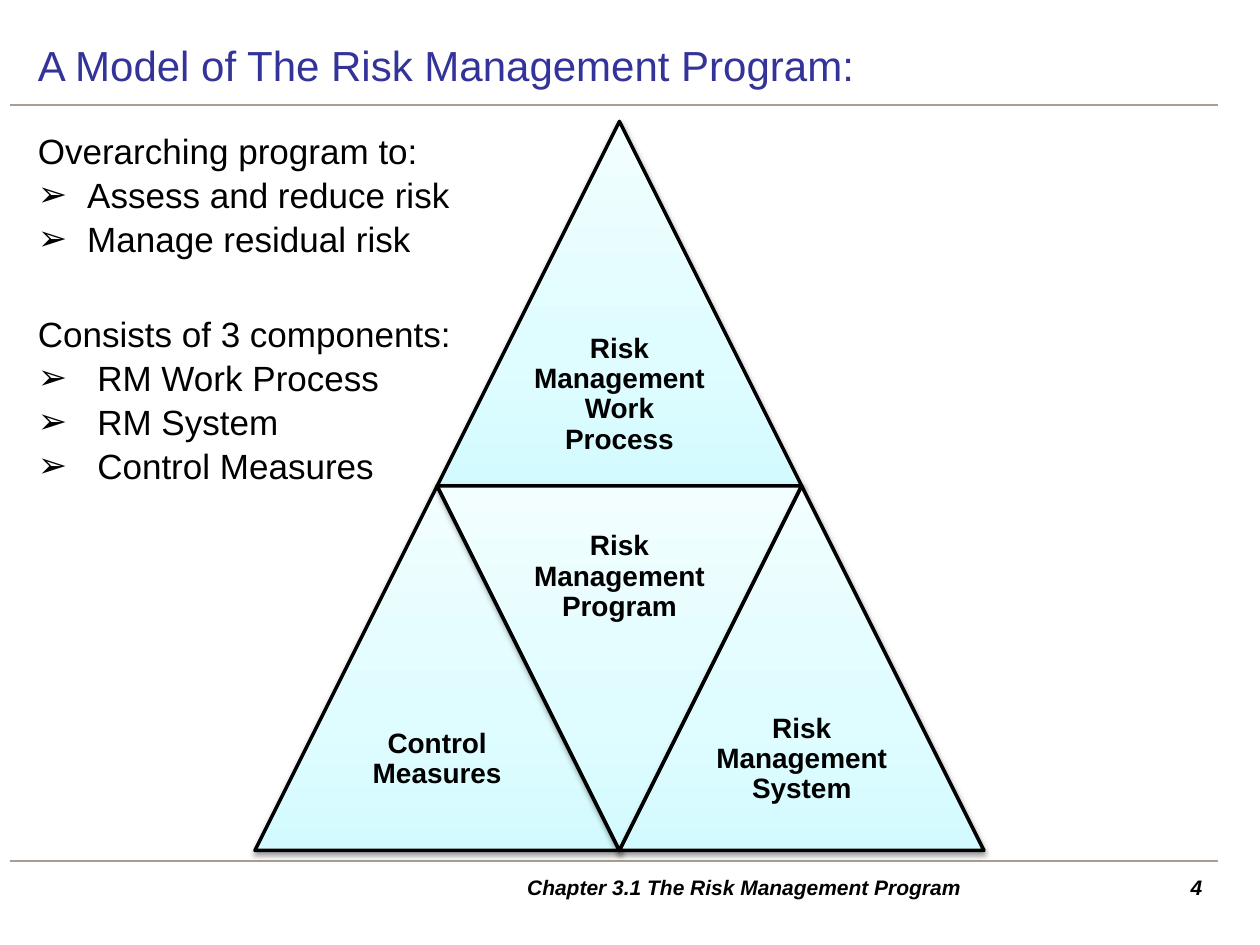
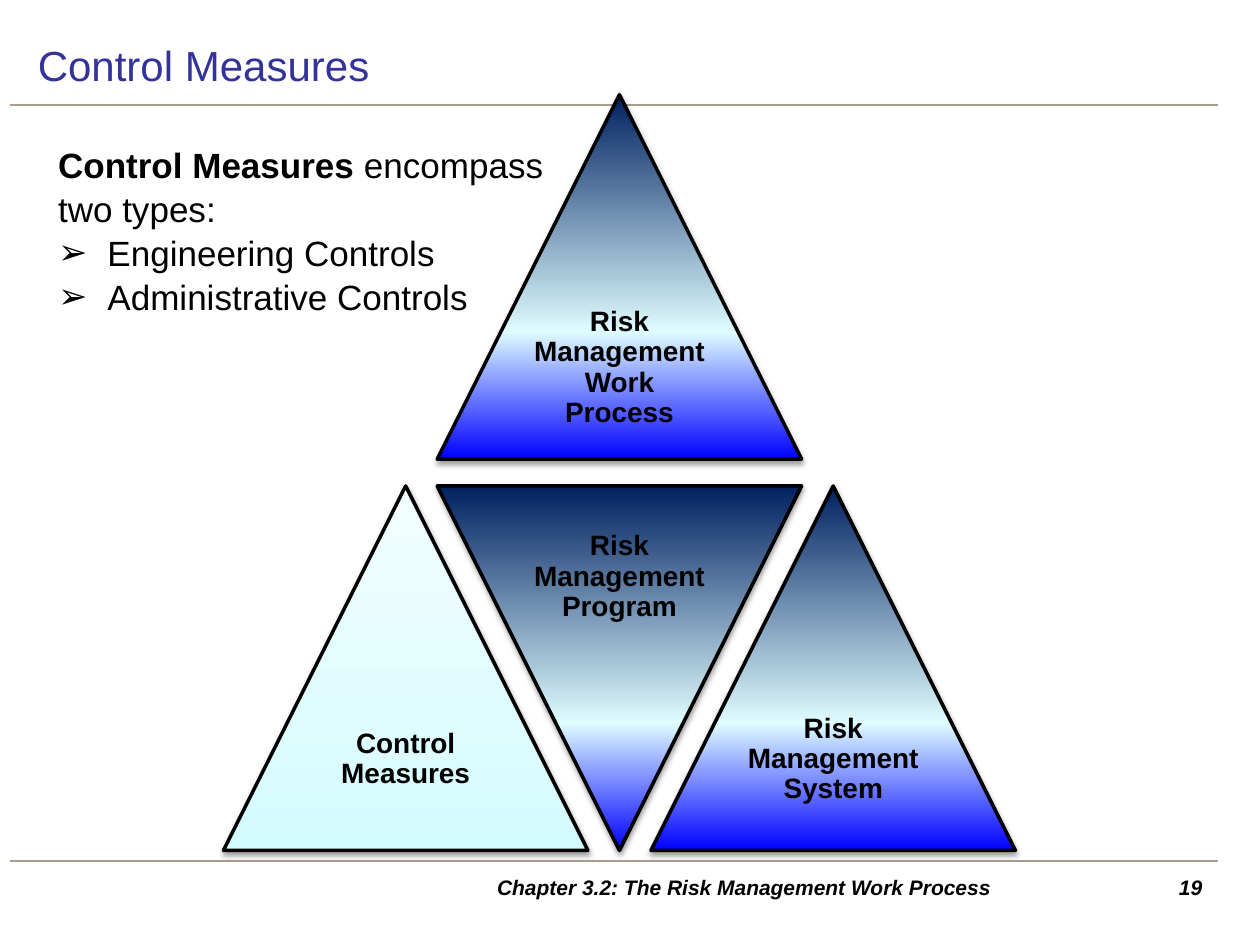
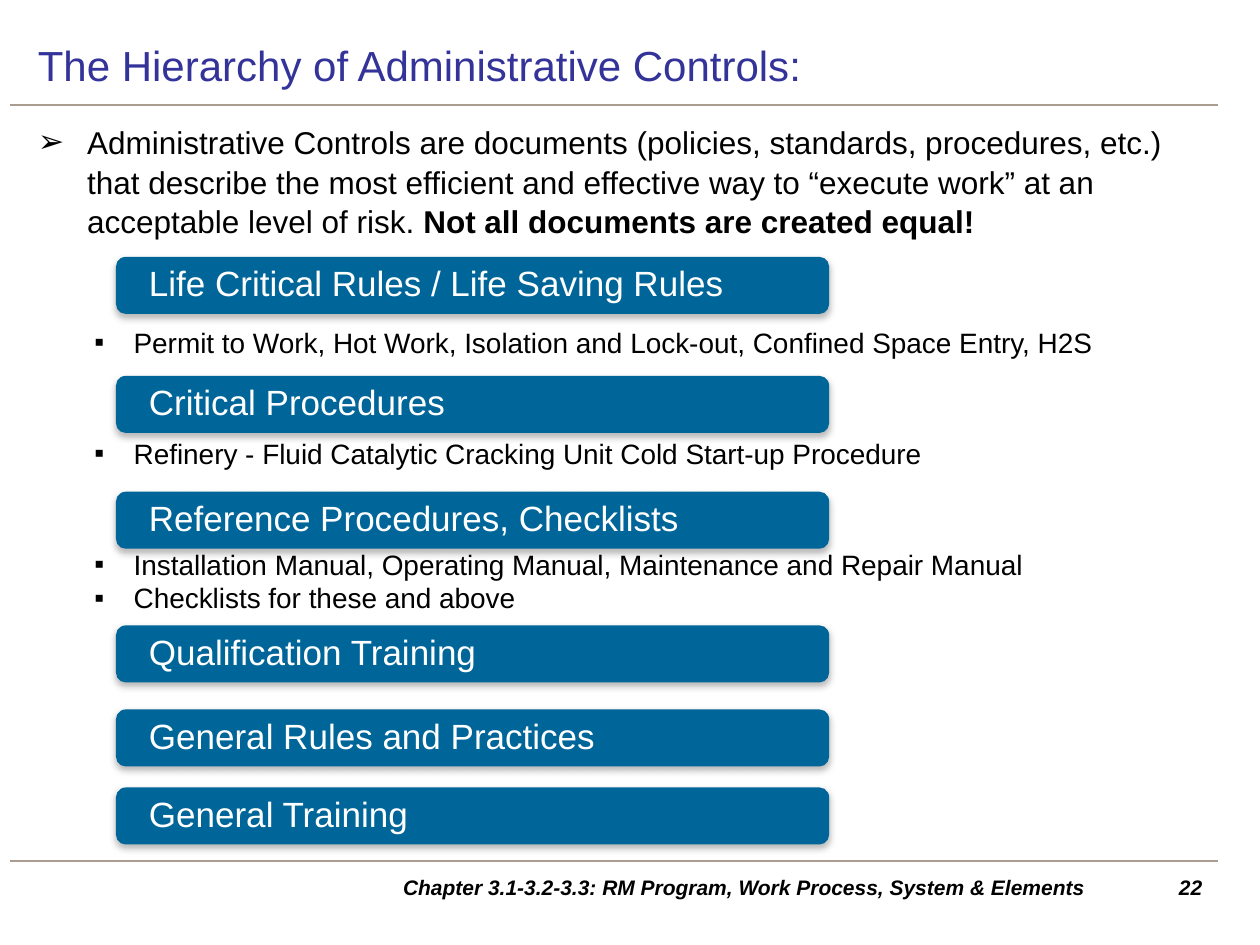
from lxml import etree
from pptx import Presentation
from pptx.dml.color import RGBColor
from pptx.enum.shapes import MSO_CONNECTOR, MSO_SHAPE
from pptx.enum.text import MSO_ANCHOR, MSO_AUTO_SIZE, PP_ALIGN
from pptx.oxml.ns import qn
from pptx.util import Pt

LEFT, CENTER, RIGHT = PP_ALIGN.LEFT, PP_ALIGN.CENTER, PP_ALIGN.RIGHT
TOP, MIDDLE, BOTTOM = MSO_ANCHOR.TOP, MSO_ANCHOR.MIDDLE, MSO_ANCHOR.BOTTOM
FIXED = MSO_AUTO_SIZE.NONE
UP, DOWN = MSO_SHAPE.ISOSCELES_TRIANGLE, MSO_SHAPE.FLOWCHART_MERGE
ROUND = MSO_SHAPE.ROUNDED_RECTANGLE
STRAIGHT = MSO_CONNECTOR.STRAIGHT

FONT = "Arial"
BLACK = RGBColor(0x00, 0x00, 0x00)
WHITE = RGBColor(0xFF, 0xFF, 0xFF)
INDIGO = RGBColor(0x33, 0x33, 0x99)
TAUPE = RGBColor(0xAA, 0x9C, 0x8F)
TEAL = RGBColor(0x00, 0x66, 0x99)
ICE = RGBColor(0xDF, 0xFC, 0xFF)
# Gradient colours from the bottom of a triangle to its top
PALE = (RGBColor(0xD3, 0xFB, 0xFF), ICE, RGBColor(0xF2, 0xFE, 0xFF))
DEEP = (RGBColor(0x00, 0x00, 0xFF), ICE, RGBColor(0x00, 0x20, 0x60))
STOPS = (0, 35, 100)

TITLE = (14.4, 17.4, 680.4, 39.6)
BODY = (14.4, 65.5, 680.4, 419.8)
FOOTER = (212.5, 496, 425.5, 22.3)
NUMBER = (652.3, 496, 41.8, 22.3)
SIDE = 208.3
ARROW, SQUARE = "➢", "▪"


def pts(*values):
    return [Pt(v) for v in values]


def node(parent, tag, **attrs):
    return etree.SubElement(parent, qn(tag), {k: str(v) for k, v in attrs.items()})


def say(frame, text, size=20, color=BLACK, bold=False, italic=False,
        align=LEFT, spacing=1.0, before=0, mark=None, indent=0):
    """Add a paragraph to the frame; ** switches bold, a newline breaks the line."""
    para = frame.add_paragraph() if frame.text else frame.paragraphs[0]
    props = para._p.get_or_add_pPr()
    props.set("marL", str(Pt(indent)))
    props.set("indent", str(-Pt(indent)))
    if mark:
        node(props, "a:buFont", typeface=FONT)
        node(props, "a:buChar", char=mark)
    else:
        node(props, "a:buNone")
    para.alignment, para.line_spacing = align, spacing
    para.space_before, para.space_after = Pt(before), Pt(0)
    for i, part in enumerate(text.split("**")):
        for j, line in enumerate(part.split("\n")):
            if j:
                para.add_line_break()
            if line:
                run = para.add_run()
                run.text = line
                font = run.font
                font.name, font.size = FONT, Pt(size)
                font.bold, font.italic = bold or i % 2 == 1, italic
                font.color.rgb = color


def setup(frame, anchor=TOP, inset=(7.2, 3.6)):
    frame.word_wrap, frame.auto_size = True, FIXED
    frame.vertical_anchor = anchor
    frame.margin_left = frame.margin_right = Pt(inset[0])
    frame.margin_top = frame.margin_bottom = Pt(inset[1])
    return frame


def place(holder, box, anchor=TOP):
    holder.left, holder.top, holder.width, holder.height = pts(*box)
    return setup(holder.text_frame, anchor)


def label(slide, box, anchor=MIDDLE, inset=(7.2, 3.6)):
    return setup(slide.shapes.add_textbox(*pts(*box)).text_frame, anchor, inset)


def shade(shape, blur, drop, alpha):
    """Give the shape a soft black shadow straight below it."""
    shape.shadow.inherit = False
    effects = shape._element.spPr.find(qn("a:effectLst"))
    outer = node(effects, "a:outerShdw", blurRad=Pt(blur), dist=Pt(drop),
                 dir=5400000, rotWithShape=0)
    node(node(outer, "a:srgbClr", val="000000"), "a:alpha", val=alpha * 1000)


def blend(shape, colors):
    shape.fill.gradient()
    shape.fill.gradient_angle = 90
    stops = shape._element.spPr.find(".//" + qn("a:gsLst"))
    for old in list(stops):
        stops.remove(old)
    for stop, color in zip(STOPS, colors):
        node(node(stops, "a:gs", pos=stop * 1000), "a:srgbClr", val=color)


def rule(slide, y):
    line = slide.shapes.add_connector(STRAIGHT, *pts(6, y, 696, y))
    line.line.color.rgb, line.line.width = TAUPE, Pt(0.75)
    node(line._element.spPr, "a:effectLst")


def page(deck, title, chapter, number, box=BODY):
    """Add a slide with title, rules and footer; return it and its body frame."""
    slide = deck.slides.add_slide(deck.slide_layouts[1])
    for y in (60, 492):
        rule(slide, y)
    say(place(slide.shapes.title, TITLE, MIDDLE), title, size=24, color=INDIGO)
    note = dict(size=12, bold=True, italic=True)
    say(label(slide, FOOTER), chapter, align=CENTER, **note)
    say(label(slide, NUMBER), str(number), align=RIGHT, **note)
    return slide, place(slide.placeholders[1], box)


def wedge(slide, kind, x, y, text, colors):
    shape = slide.shapes.add_shape(kind, *pts(x, y, SIDE, SIDE))
    blend(shape, colors)
    shape.line.color.rgb, shape.line.width = BLACK, Pt(2)
    shade(shape, 3.1, 1.6, 38)
    say(setup(shape.text_frame, MIDDLE, (0, 0)), text, size=16, bold=True,
        align=CENTER, spacing=0.9)


def pyramid(slide, colors, mid=354, base=486, side_gap=0, top_gap=0):
    """Stack four triangles around the middle x; colors fills all but the left."""
    row = base - SIDE
    half = mid - SIDE / 2
    wedge(slide, UP, half, row - SIDE - top_gap, "Risk Management Work Process", colors)
    wedge(slide, UP, mid - SIDE - side_gap, row, "Control Measures", PALE)
    wedge(slide, DOWN, half, row, "Risk Management Program", colors)
    wedge(slide, UP, mid + side_gap, row, "Risk Management System", colors)


def bar(slide, y, text):
    shape = slide.shapes.add_shape(ROUND, *pts(66.3, y, 407.5, 32.6))
    shape.adjustments[0] = 0.17
    shape.fill.solid()
    shape.fill.fore_color.rgb = TEAL
    shape.line.fill.background()
    shade(shape, 4, 2, 28)
    say(setup(shape.text_frame, MIDDLE, (17.2, 1.4)), text, color=WHITE, spacing=0.9)


def level(slide, y, text, items, end):
    """Draw a bar at y and its examples, which finish at the height end."""
    if items:
        top = y + 20
        frame = label(slide, (51, top, 595, end - top), BOTTOM, (2.9, 2.9))
        for item in items:
            say(frame, item, size=16, mark=SQUARE, indent=22.5)
    bar(slide, y, text)


def model(deck):
    slide, body = page(deck, "A Model of The Risk Management Program:",
                       "Chapter 3.1 The Risk Management Program", 4)
    say(body, "Overarching program to:", spacing=1.2)
    for item in ("Assess and reduce risk", "Manage residual risk"):
        say(body, item, mark=ARROW, indent=28.2, spacing=1.05)
    say(body, "Consists of 3 components:", spacing=1.2, before=25.5)
    for item in ("RM Work Process", "RM System", "Control Measures"):
        say(body, item, mark=ARROW, indent=34, spacing=1.05)
    pyramid(slide, PALE)


def measures(deck):
    slide, body = page(deck, "Control Measures",
                       "Chapter 3.2: The Risk Management Work Process", 19,
                       (26, 77, 680.4, 419.8))
    say(body, "**Control Measures** encompass\ntwo types:", spacing=1.05)
    for item in ("Engineering Controls", "Administrative Controls"):
        say(body, item, mark=ARROW, indent=28.2, spacing=1.05)
    pyramid(slide, DEEP, side_gap=18, top_gap=15.3)


def ranks(deck):
    slide, body = page(deck, "The Hierarchy of Administrative Controls:",
                       "Chapter 3.1-3.2-3.3: RM Program, Work Process, System & Elements", 22)
    say(body, "Administrative Controls are documents (policies, standards, procedures, "
        "etc.) that describe the most efficient and effective way to “execute work” at "
        "an acceptable level of risk. **Not all documents are created equal!**",
        size=18, mark=ARROW, indent=28.2, spacing=1.05)
    levels = (
        (146.8, "Life Critical Rules / Life Saving Rules",
         ["Permit to Work, Hot Work, Isolation and Lock-out, Confined Space Entry, H2S"], 208),
        (214.8, "Critical Procedures",
         ["Refinery - Fluid Catalytic Cracking Unit Cold Start-up Procedure"], 271.3),
        (281, "Reference Procedures, Checklists",
         ["Installation Manual, Operating Manual, Maintenance and Repair Manual",
          "Checklists for these and above"], 354),
        (357.4, "Qualification Training", [], None),
        (405.4, "General Rules and Practices", [], None),
        (450, "General Training", [], None),
    )
    for y, text, items, end in levels:
        level(slide, y, text, items, end)


def main():
    deck = Presentation()
    deck.slide_width, deck.slide_height = Pt(720), Pt(540)
    model(deck)
    measures(deck)
    ranks(deck)
    deck.save("out.pptx")


if __name__ == "__main__":
    main()
